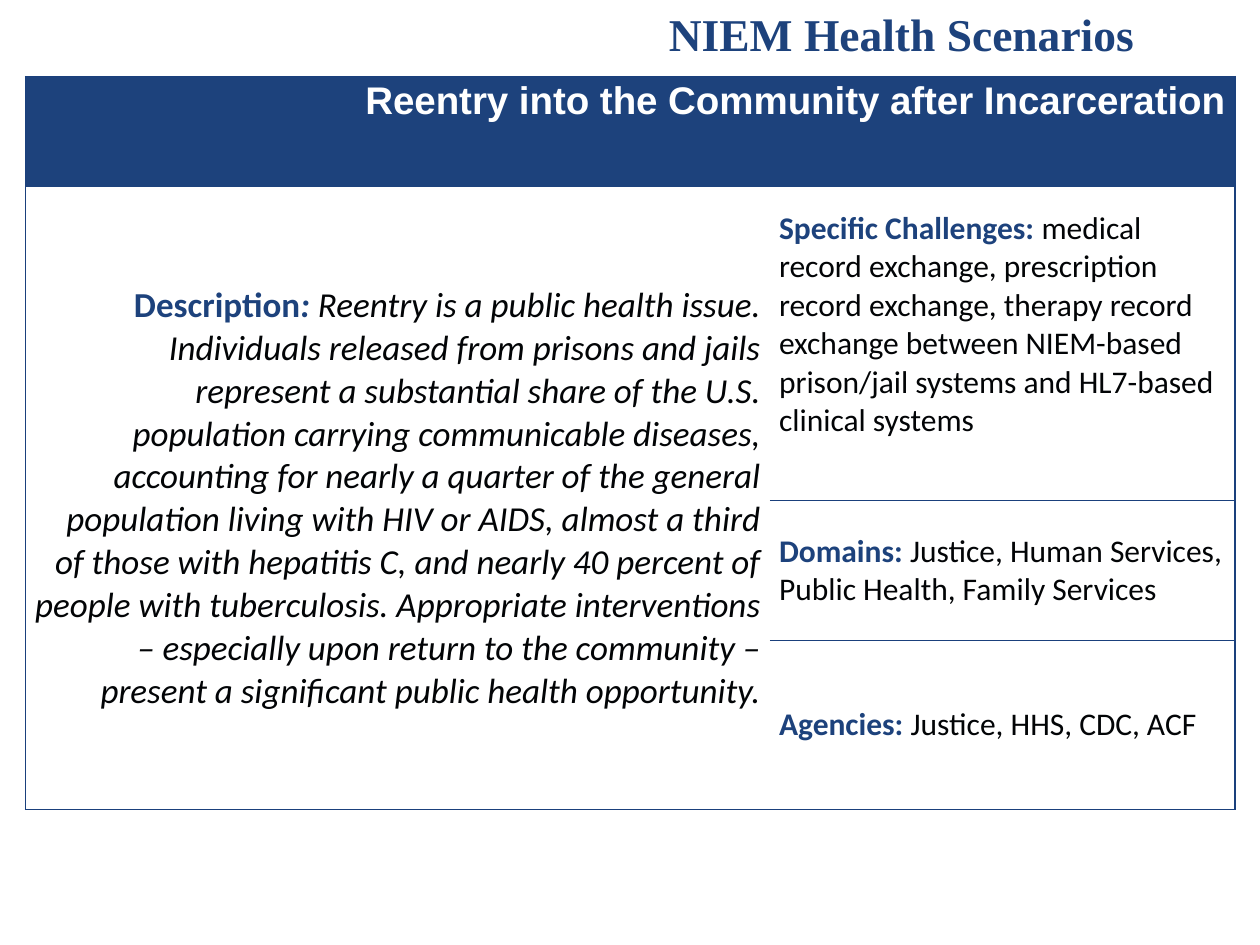
from dataclasses import dataclass
from typing import NamedTuple

from lxml.etree import SubElement
from pptx import Presentation
from pptx.dml.color import RGBColor as RGB
from pptx.enum.text import MSO_ANCHOR as Anchor, MSO_AUTO_SIZE as AutoSize, PP_ALIGN as Align
from pptx.oxml.ns import qn
from pptx.util import Pt


@dataclass(frozen=True)
class Theme:
    navy: RGB = RGB(0x1D, 0x42, 0x7C)
    border: RGB = RGB(0x1A, 0x40, 0x7C)
    ink: RGB = RGB(0x02, 0x04, 0x06)
    white: RGB = RGB(0xFF, 0xFF, 0xFF)
    title_font: str = "Times New Roman"
    banner_font: str = "Arial"
    body_font: str = "Calibri"
    title_size: float = 26
    banner_size: float = 22
    description_size: float = 20
    body_size: float = 18


THEME = Theme()


class Run(NamedTuple):
    text: str
    color: RGB
    bold: bool = False
    italic: bool = False


@dataclass(frozen=True)
class Cell:
    row: int
    col: int
    runs: list[Run]
    size: float
    borders: str
    font: str = THEME.body_font
    align: Align = Align.LEFT
    anchor: Anchor = Anchor.MIDDLE
    fill: RGB = THEME.white
    rows: int = 1
    cols: int = 1
    line_spacing: float = 1.0
    bottom: float = 0


def write_runs(p, runs: list[Run], font: str, size: float) -> None:
    for run in runs:
        r = p.add_run()
        r.text = run.text
        f = r.font
        f.name, f.size, f.bold, f.italic = font, Pt(size), run.bold, run.italic
        f.color.rgb = run.color


def set_borders(tc, sides: str) -> None:
    """Draw the sides named by letter and leave the others without a line."""
    tc_pr = tc._tc.get_or_add_tcPr()
    for side in "LRTB":
        ln = SubElement(tc_pr, qn(f"a:ln{side}"), w=str(Pt(0.75)))
        if side in sides:
            fill = SubElement(ln, qn("a:solidFill"))
            SubElement(fill, qn("a:srgbClr"), val=str(THEME.border))
        else:
            SubElement(ln, qn("a:noFill"))


def fill_cell(table, cell: Cell) -> None:
    tc = table.cell(cell.row, cell.col)
    last_row, last_col = cell.row + cell.rows - 1, cell.col + cell.cols - 1
    if (last_row, last_col) != (cell.row, cell.col):
        tc.merge(table.cell(last_row, last_col))
    for row in range(cell.row, last_row + 1):
        for col in range(cell.col, last_col + 1):
            part = table.cell(row, col)
            set_borders(part, cell.borders)
            part.fill.solid()
            part.fill.fore_color.rgb = cell.fill
    tc.vertical_anchor = cell.anchor
    tc.margin_left = tc.margin_right = Pt(5.2)
    tc.margin_top, tc.margin_bottom = Pt(0), Pt(cell.bottom)
    p = tc.text_frame.paragraphs[0]
    p.alignment, p.line_spacing = cell.align, cell.line_spacing
    write_runs(p, cell.runs, cell.font, cell.size)


def labelled(label: str, text: str) -> list[Run]:
    return [Run(label, THEME.navy, bold=True), Run(text, THEME.ink)]


DESCRIPTION = (
    "Reentry is a public health issue. Individuals released from prisons and jails represent "
    "a substantial share of the U.S. population carrying communicable diseases, accounting for "
    "nearly a quarter of the general population living with HIV or AIDS, almost a third of those "
    "with hepatitis C, and nearly 40 percent of people with tuberculosis. Appropriate "
    "interventions – especially upon return to the community – present a significant public "
    "health opportunity."
)
CHALLENGES = (
    "medical record exchange, prescription record exchange, therapy record exchange between "
    "NIEM-based prison/jail systems and HL7-based clinical systems"
)
CELLS = [
    Cell(0, 0, [Run("Reentry into the Community after Incarceration", THEME.white, bold=True)],
         THEME.banner_size, "LRT", font=THEME.banner_font, align=Align.RIGHT,
         anchor=Anchor.TOP, fill=THEME.navy, cols=2, line_spacing=1.07),
    Cell(1, 0, [Run("Description", THEME.navy, bold=True),
                Run(": ", THEME.navy, bold=True, italic=True),
                Run(DESCRIPTION, THEME.ink, italic=True)],
         THEME.description_size, "LB", align=Align.RIGHT, rows=3),
    Cell(1, 1, labelled("Specific Challenges: ", CHALLENGES), THEME.body_size, "RB", bottom=22),
    Cell(2, 1, labelled("Domains: ", "Justice, Human Services, Public Health, Family Services"),
         THEME.body_size, "RTB"),
    Cell(3, 1, labelled("Agencies: ", "Justice, HHS, CDC, ACF"), THEME.body_size, "RTB"),
]
COL_WIDTHS = [425.5, 265.7]
ROW_HEIGHTS = [63.4, 179, 80, 96.4]


def add_title(s, text: str) -> None:
    sp = s.shapes.title
    sp.left, sp.top, sp.width, sp.height = Pt(375), Pt(0), Pt(283), Pt(39)
    tf = sp.text_frame
    tf.word_wrap, tf.auto_size = False, AutoSize.NONE
    tf.vertical_anchor = Anchor.TOP
    p = tf.paragraphs[0]
    p.alignment = Align.LEFT
    write_runs(p, [Run(text, THEME.navy, bold=True)], THEME.title_font, THEME.title_size)


def add_scenario_table(s) -> None:
    frame = s.shapes.add_table(len(ROW_HEIGHTS), len(COL_WIDTHS), Pt(14.5), Pt(43.7),
                               Pt(sum(COL_WIDTHS)), Pt(sum(ROW_HEIGHTS)))
    table = frame.table
    table.first_row = table.horz_banding = False
    for column, width in zip(table.columns, COL_WIDTHS):
        column.width = Pt(width)
    for row, height in zip(table.rows, ROW_HEIGHTS):
        row.height = Pt(height)
    for cell in CELLS:
        fill_cell(table, cell)


def main() -> None:
    prs = Presentation()
    prs.slide_width, prs.slide_height = Pt(720), Pt(540)
    s = prs.slides.add_slide(prs.slide_layouts[5])  # title only

    # Scenario details
    add_scenario_table(s)

    # Slide title
    add_title(s, "NIEM Health Scenarios")

    prs.save("out.pptx")


if __name__ == "__main__":
    main()
